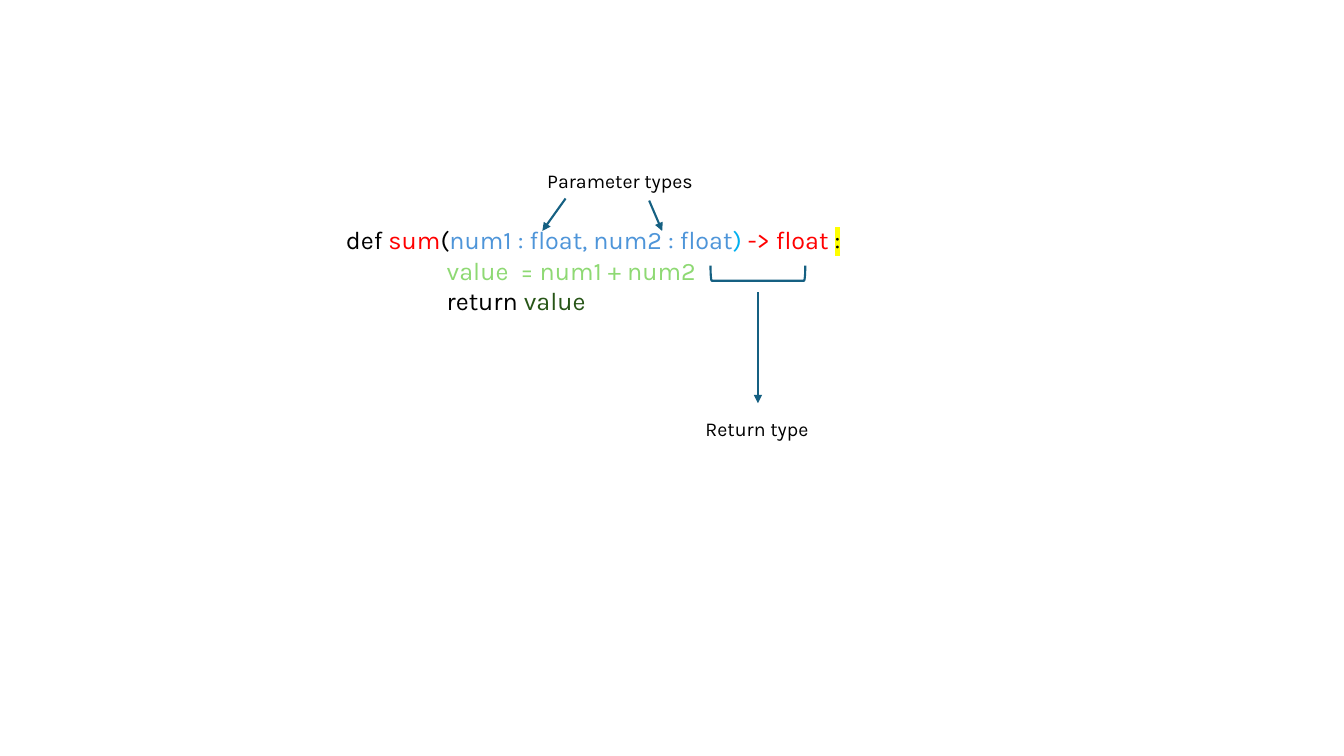
import pptx
import pptx.dml.color
import pptx.enum.shapes
import pptx.enum.text
import pptx.oxml
import pptx.oxml.ns
import pptx.util

Pt = pptx.util.Pt
RGBColor = pptx.dml.color.RGBColor

FONT = "Karla"
BLACK = RGBColor(0x00, 0x00, 0x00)
RED = RGBColor(0xFF, 0x00, 0x00)
BLUE = RGBColor(0x4E, 0x95, 0xD9)
CYAN = RGBColor(0x00, 0xB0, 0xF0)
LIGHT_GREEN = RGBColor(0x8E, 0xD9, 0x73)
DARK_GREEN = RGBColor(0x27, 0x55, 0x17)
YELLOW = RGBColor(0xFF, 0xFF, 0x00)
TEAL = RGBColor(0x15, 0x60, 0x82)

LINE_WIDTH = 1.5
CODE_INDENT = 72

# Each line: indent level, then runs of text, colour and optional highlight
CODE = [
    (0, [("def ", BLACK), ("sum", RED), ("(", BLACK),
         ("num1 : float, num2 : float", BLUE), (")", CYAN),
         (" -> float ", RED), (":", BLACK, YELLOW)]),
    (1, [("value  = num1 + num2", LIGHT_GREEN)]),
    (1, [("return ", BLACK), ("value", DARK_GREEN)]),
]


def highlight(r, color):
    mark = pptx.oxml.parse_xml(
        f'<a:highlight {pptx.oxml.ns.nsdecls("a")}>'
        f'<a:srgbClr val="{color}"/></a:highlight>')
    r.font.fill._xPr.find(pptx.oxml.ns.qn("a:solidFill")).addnext(mark)


def add_run(p, size, text, color, mark=None):
    r = p.add_run()
    r.text = text
    r.font.name = FONT
    r.font.size = Pt(size)
    r.font.color.rgb = color
    if mark is not None:
        highlight(r, mark)


def add_text(s, left, top, width, height, size, lines):
    """Add a text box from lines of (indent level, runs)."""
    tf = s.shapes.add_textbox(Pt(left), Pt(top), Pt(width), Pt(height)).text_frame
    tf.word_wrap = True
    tf.auto_size = pptx.enum.text.MSO_AUTO_SIZE.SHAPE_TO_FIT_TEXT
    for i, (level, runs) in enumerate(lines):
        p = tf.add_paragraph() if i else tf.paragraphs[0]
        if level:
            p._p.get_or_add_pPr().set("marL", str(Pt(level * CODE_INDENT)))
        for run in runs:
            add_run(p, size, *run)


def add_label(s, left, top, width, text):
    add_text(s, left, top, width, 24.5, 14, [(0, [(text, BLACK)])])


def style_line(line):
    line.color.rgb = TEAL
    line.width = Pt(LINE_WIDTH)


def add_arrow(s, x1, y1, x2, y2):
    arrow = s.shapes.add_connector(
        pptx.enum.shapes.MSO_CONNECTOR.STRAIGHT, Pt(x1), Pt(y1), Pt(x2), Pt(y2))
    style_line(arrow.line)
    ns = pptx.oxml.ns.nsdecls("a")
    arrow.line._get_or_add_ln().append(
        pptx.oxml.parse_xml(f'<a:tailEnd {ns} type="triangle"/>'))
    arrow._element.spPr.append(pptx.oxml.parse_xml(f"<a:effectLst {ns}/>"))


def add_bracket(s, left, top, width, height):
    """Add a bracket that opens upwards; the lengths are before rotation."""
    sp = s.shapes.add_shape(
        pptx.enum.shapes.MSO_SHAPE.LEFT_BRACKET,
        Pt(left), Pt(top), Pt(width), Pt(height))
    sp.rotation = 270
    sp.shadow.inherit = False
    sp.fill.background()
    style_line(sp.line)


def main():
    prs = pptx.Presentation()
    prs.slide_width = Pt(960)
    prs.slide_height = Pt(540)
    s = prs.slides.add_slide(prs.slide_layouts[6])

    add_text(s, 240, 157, 480, 94.5, 18, CODE)
    add_arrow(s, 541.4, 208.8, 541.4, 288)
    add_label(s, 496.8, 294.5, 90, "Return type")
    add_bracket(s, 536, 161.3, 10.8, 67.7)
    add_label(s, 383.8, 117.4, 122.4, "Parameter types")
    add_arrow(s, 404, 141.8, 387.4, 165)
    add_arrow(s, 463.7, 143.3, 473, 165)

    prs.save("out.pptx")


if __name__ == "__main__":
    main()
